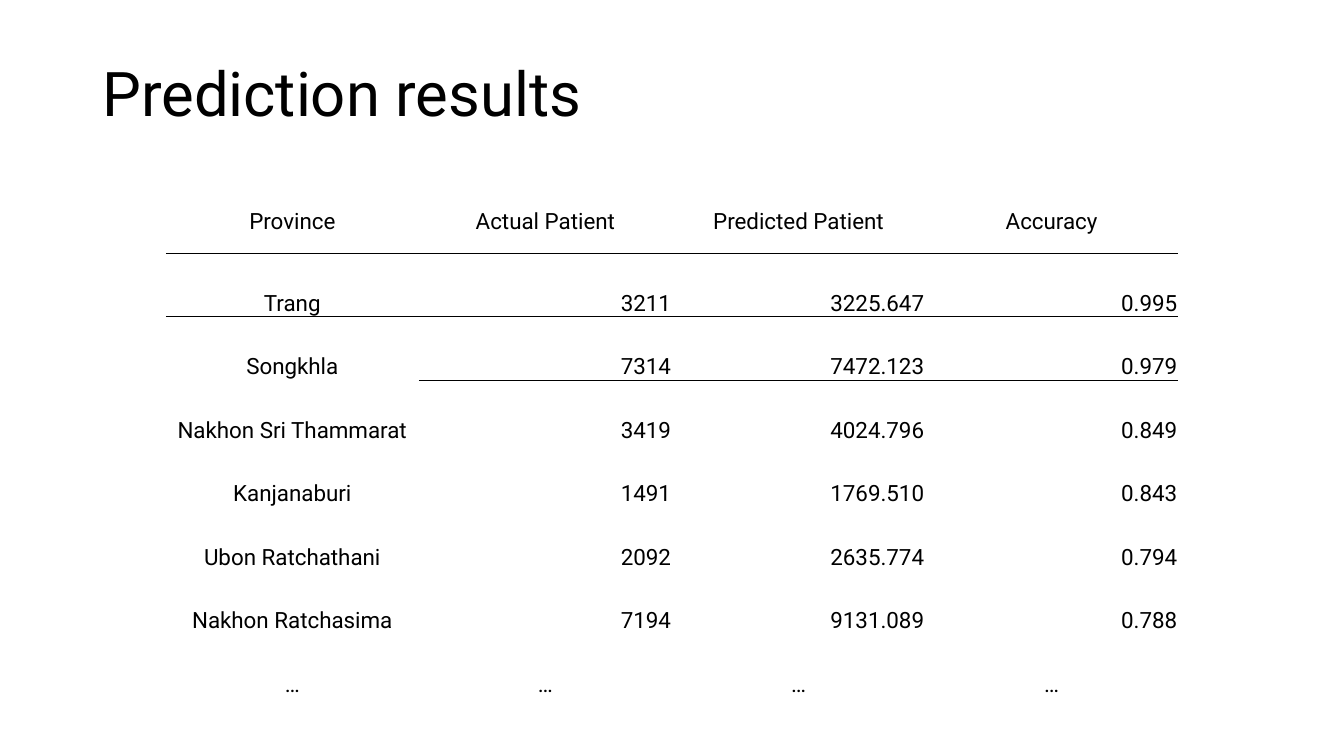
import dataclasses

import pptx
import pptx.dml.color
import pptx.enum.text
import pptx.oxml
import pptx.oxml.ns
import pptx.util

Pt = pptx.util.Pt
ALIGN = pptx.enum.text.PP_ALIGN
ANCHOR = pptx.enum.text.MSO_ANCHOR


@dataclasses.dataclass(frozen=True)
class Theme:
    font: str = "Roboto"
    ink: str = "000000"
    title_size: float = 44
    table_size: float = 16
    rule_width: float = 1
    plain_table: str = "{2D5ABB26-0587-4C30-8999-92F81FD0307C}"


@dataclasses.dataclass(frozen=True)
class Box:
    left: float
    top: float
    width: float
    height: float

    def lengths(self):
        return [Pt(value) for value in (self.left, self.top, self.width, self.height)]


THEME = Theme()
HEADINGS = ("Province", "Actual Patient", "Predicted Patient", "Accuracy")
RESULTS = (
    ("Trang", "3211", "3225.647", "0.995"),
    ("Songkhla", "7314", "7472.123", "0.979"),
    ("Nakhon Sri Thammarat", "3419", "4024.796", "0.849"),
    ("Kanjanaburi", "1491", "1769.510", "0.843"),
    ("Ubon Ratchathani", "2092", "2635.774", "0.794"),
    ("Nakhon Ratchasima", "7194", "9131.089", "0.788"),
    ("…", "…", "…", "…"),
)


def add_span(para, text, size):
    span = para.add_run()
    span.text = text
    span.font.name = THEME.font
    span.font.size = Pt(size)
    span.font.color.rgb = pptx.dml.color.RGBColor.from_string(THEME.ink)


def add_title(page, box, text):
    frame = page.shapes.add_textbox(*box.lengths()).text_frame
    frame.word_wrap = True
    frame.vertical_anchor = ANCHOR.BOTTOM
    para = frame.paragraphs[0]
    para.line_spacing = 0.9
    add_span(para, text, THEME.title_size)


def add_border(cell, side):
    """Draw one edge of a cell; side is lnT or lnB."""
    cell._tc.get_or_add_tcPr().append(pptx.oxml.parse_xml(
        f'<a:{side} {pptx.oxml.ns.nsdecls("a")} w="{Pt(THEME.rule_width)}">'
        f'<a:solidFill><a:srgbClr val="{THEME.ink}"/></a:solidFill></a:{side}>'))


def set_margins(cell, left, top, right, bottom):
    cell.margin_left, cell.margin_top = Pt(left), Pt(top)
    cell.margin_right, cell.margin_bottom = Pt(right), Pt(bottom)


def fill_cell(cell, text, is_heading, is_label):
    if is_heading:
        set_margins(cell, 8.64, 4.32, 8.64, 4.32)
    else:
        set_margins(cell, 0.72, 0.72, 0.72, 0)
    cell.vertical_anchor = ANCHOR.MIDDLE if is_heading else ANCHOR.BOTTOM
    para = cell.text_frame.paragraphs[0]
    centred = is_heading or is_label or text == "…"
    para.alignment = ALIGN.CENTER if centred else ALIGN.RIGHT
    add_span(para, text, THEME.table_size)


def add_results_table(page, box, headings, results):
    rows = (headings, *results)
    frame = page.shapes.add_table(len(rows), len(headings), *box.lengths())
    table = frame.table
    table.first_row = table.horz_banding = False
    style = table._tbl.tblPr.find(pptx.oxml.ns.qn("a:tableStyleId"))
    style.text = THEME.plain_table
    for column in table.columns:
        column.width = Pt(box.width / len(headings))
    for row in table.rows:
        row.height = Pt(box.height / len(rows))

    for row_index, texts in enumerate(rows):
        for column_index, text in enumerate(texts):
            cell = table.cell(row_index, column_index)
            is_label = column_index == 0
            fill_cell(cell, text, row_index == 0, is_label)
            # Rules lie below the headings and below the first row's figures.
            if row_index == 1 or (row_index == 2 and not is_label):
                add_border(cell, "lnT")
            if row_index == 0 or (row_index == 1 and not is_label):
                add_border(cell, "lnB")
            cell.fill.background()


def main():
    deck = pptx.Presentation()
    deck.slide_width, deck.slide_height = Pt(960), Pt(540)
    page = deck.slides.add_slide(deck.slide_layouts[6])
    add_title(page, Box(66, 23, 828, 73.5), "Prediction results")
    add_results_table(page, Box(118.4, 135.4, 723.2, 363.2), HEADINGS, RESULTS)
    deck.save("out.pptx")


if __name__ == "__main__":
    main()
